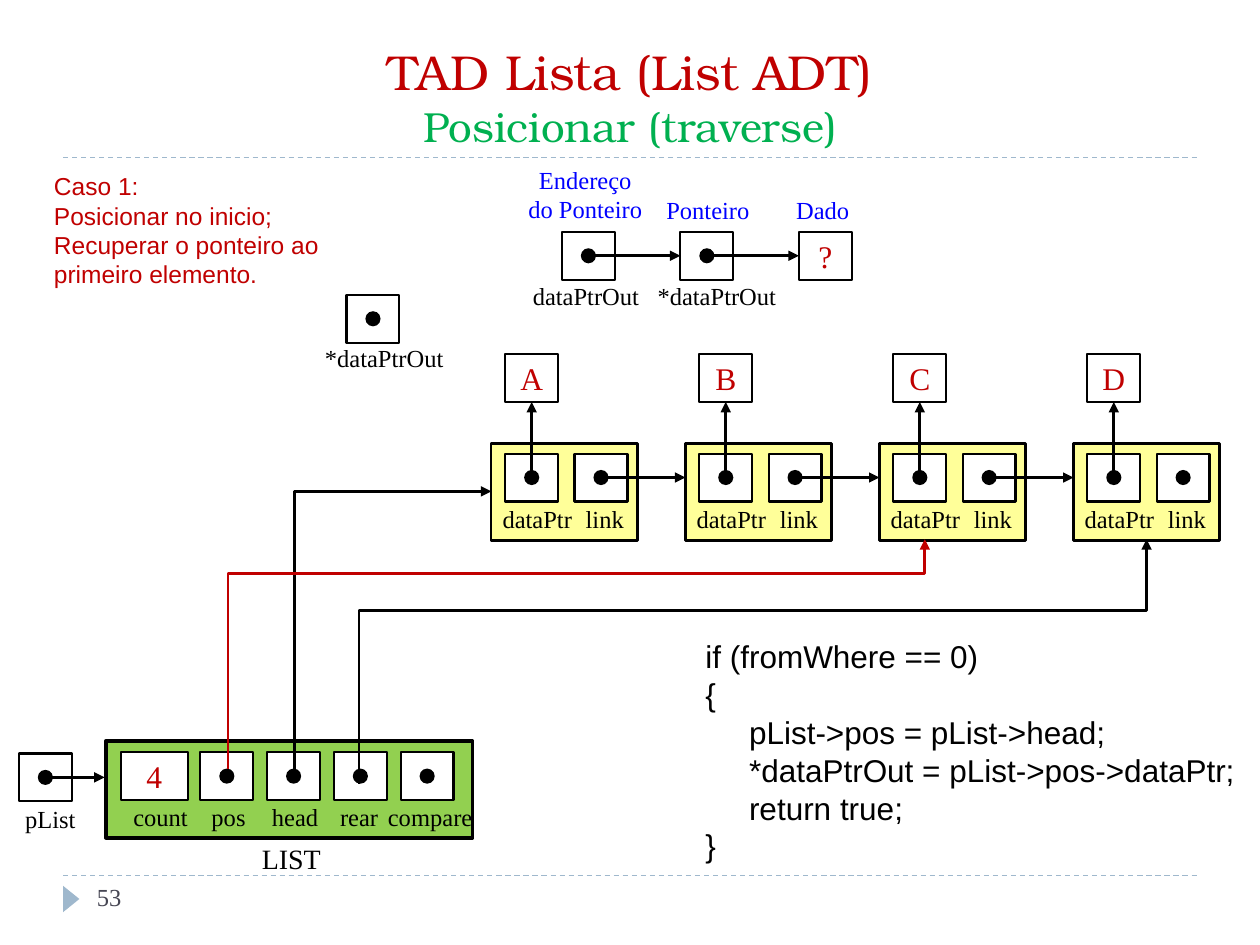
from lxml import etree
from pptx import Presentation
from pptx.dml.color import RGBColor
from pptx.enum.dml import MSO_LINE
from pptx.enum.shapes import MSO_CONNECTOR, MSO_SHAPE
from pptx.enum.text import MSO_ANCHOR, MSO_AUTO_SIZE, PP_ALIGN
from pptx.oxml.ns import qn
from pptx.util import Inches, Pt

RECTANGLE, OVAL, TRIANGLE = MSO_SHAPE.RECTANGLE, MSO_SHAPE.OVAL, MSO_SHAPE.ISOSCELES_TRIANGLE
STRAIGHT, ELBOW = MSO_CONNECTOR.STRAIGHT, MSO_CONNECTOR.ELBOW
LEFT, CENTER = PP_ALIGN.LEFT, PP_ALIGN.CENTER
MIDDLE, BOTTOM = MSO_ANCHOR.MIDDLE, MSO_ANCHOR.BOTTOM
NO_FIT, DASH = MSO_AUTO_SIZE.NONE, MSO_LINE.DASH
SERIF, SANS, TITLE_FONT = "Times New Roman", "Arial", "TeX Gyre Bonum"
BLACK, WHITE, RED, GREEN, BLUE = "000000", "FFFFFF", "C00000", "00B050", "0000FF"
YELLOW, LIME, STEEL, SLATE = "FFFF99", "92D050", "9FB8CD", "464653"
CELL_WIDTH, CELL_HEIGHT, DOT = 0.42, 0.38, 0.12


def color(value):
    """Turn a hex string into a colour."""
    return RGBColor.from_string(value)


def set_font(font, name, size, value):
    """Set the face, size and colour of a font."""
    font.name, font.size = name, Pt(size)
    font.color.rgb = color(value)


def add_text(shapes, text, left, top, width, height=0.34, name=SERIF, size=14,
             value=BLACK, align=LEFT, wrap=False):
    """Add a text box with one paragraph for each line."""
    box = shapes.add_textbox(Inches(left), Inches(top), Inches(width), Inches(height))
    box.text_frame.word_wrap = wrap
    box.text_frame.text = text
    for para in box.text_frame.paragraphs:
        para.alignment = align
        set_font(para.font, name, size, value)
    return box


def add_figure(shapes, kind, left, top, width, height, fill, weight=0):
    """Add a filled shape, outlined in black when a weight is given."""
    figure = shapes.add_shape(kind, Inches(left), Inches(top), Inches(width), Inches(height))
    figure.shadow.inherit = False
    figure.fill.solid()
    figure.fill.fore_color.rgb = color(fill)
    if weight:
        figure.line.color.rgb = color(BLACK)
        figure.line.width = Pt(weight)
    else:
        figure.line.fill.background()
    return figure


def add_cell(shapes, left, top, text="", width=CELL_WIDTH):
    """Add a white memory cell, with a red value if it has one."""
    cell = add_figure(shapes, RECTANGLE, left, top, width, CELL_HEIGHT, WHITE, 1.25)
    if text:
        cell.text_frame.text = text
        cell.text_frame.vertical_anchor = MIDDLE
        para = cell.text_frame.paragraphs[0]
        para.alignment = CENTER
        set_font(para.font, SERIF, 18, RED)
    return cell


def add_dot(shapes, left, top):
    """Add the pointer dot in the centre of the cell at left, top."""
    add_figure(shapes, OVAL, left + (CELL_WIDTH - DOT) / 2, top + (CELL_HEIGHT - DOT) / 2,
               DOT, DOT, BLACK)


def add_line(shapes, kind, start, end, value=BLACK, weight=1.5, arrow=True):
    """Add a connector without shadow, with an arrowhead at its end if asked."""
    line = shapes.add_connector(kind, *(Inches(length) for length in (*start, *end)))
    line.line.color.rgb = color(value)
    line.line.width = Pt(weight)
    if arrow:
        etree.SubElement(line.line._get_or_add_ln(), qn("a:tailEnd"), type="triangle")
    etree.SubElement(line._element.spPr, qn("a:effectLst"))
    return line


def add_riser(shapes, start, end, value=BLACK, bend=None):
    """Add an elbow connector that leaves upward, with a second turn at the bend share."""
    middle_x, middle_y = (start[0] + end[0]) / 2, (start[1] + end[1]) / 2
    half_width, half_height = (start[1] - end[1]) / 2, (end[0] - start[0]) / 2
    line = add_line(shapes, ELBOW, (middle_x - half_width, middle_y - half_height),
                    (middle_x + half_width, middle_y + half_height), value)
    properties = line._element.spPr
    properties.find(qn("a:xfrm")).set("rot", str(270 * 60000))
    geometry = properties.find(qn("a:prstGeom"))
    if bend is None:
        geometry.set("prst", "bentConnector2")
    else:
        guides = geometry.find(qn("a:avLst"))
        etree.SubElement(guides, qn("a:gd"), name="adj1", fmla=f"val {round(bend * 100000)}")


def add_frame(page, left, width):
    """Add the title, the dashed rules and the page number."""
    for top in (6.95, 1.25):
        rule = add_line(page.shapes, STRAIGHT, (left, top), (left + width, top), STEEL, 0.75, False)
        rule.line.dash_style = DASH
    marker = add_figure(page.shapes, TRIANGLE, left - 0.04, 7.07, 0.21, 0.13, STEEL)
    marker.rotation = 90
    title = page.shapes.title
    title.left, title.top, title.width, title.height = map(Inches, (left, 0.25, width, 1))
    title.text_frame.auto_size = NO_FIT
    title.text_frame.vertical_anchor = BOTTOM
    para = title.text_frame.paragraphs[0]
    para.alignment = CENTER
    for text, size, value in (("TAD Lista (List ADT)", 28, RED), ("Posicionar (traverse)", 24, GREEN)):
        if para.runs:
            para.add_line_break()
        span = para.add_run()
        span.text = text
        set_font(span.font, TITLE_FONT, size, value)
    add_text(page.shapes, "53", left + 0.17, 6.95, 2.17, 0.4, value=SLATE, wrap=True)


def add_list_header(page, left, top):
    """Add the pList pointer and the LIST structure with its fields."""
    shapes = page.shapes.add_group_shape().shapes
    cell_top, label_top = top + 0.09, top + 0.44
    add_cell(shapes, left - 0.69, top + 0.1)
    add_text(shapes, "pList", left - 0.74, top + 0.45, 0.61)
    add_line(shapes, STRAIGHT, (left - 0.48, top + 0.29), (left - 0.01, top + 0.29))
    add_dot(shapes, left - 0.69, top + 0.1)
    add_text(shapes, "LIST", left + 1.14, top + 0.75, 0.68, 0.37, size=16)
    add_figure(shapes, RECTANGLE, left, top, 2.91, 0.77, LIME, 2)
    add_cell(shapes, left + 0.12, cell_top, "4", 0.53)
    add_text(shapes, "count", left + 0.12, label_top, 0.64)
    fields = (("pos", 0.74, 0.48), ("head", 1.22, 0.57), ("rear", 1.76, 0.51), ("compare", 2.14, 0.88))
    for index, (name, label_left, label_width) in enumerate(fields):
        cell_left = left + 0.75 + 0.53 * index
        add_cell(shapes, cell_left, cell_top)
        add_dot(shapes, cell_left, cell_top)
        add_text(shapes, name, left + label_left, label_top, label_width)


def add_node(shapes, left, top, value, linked):
    """Add a list node with its data cell above and its link to the right."""
    data_left, link_left, cell_top = left + 0.11, left + 0.66, top + 0.08
    add_figure(shapes, RECTANGLE, left, top, 1.16, 0.77, YELLOW, 1.25)
    add_text(shapes, "dataPtr", left - 0.01, top + 0.43, 0.76)
    add_text(shapes, "link", left + 0.65, top + 0.43, 0.51)
    add_cell(shapes, data_left, cell_top)
    add_cell(shapes, link_left, cell_top)
    data = add_cell(shapes, data_left, top - 0.71, value)
    center_x, center_y = data_left + CELL_WIDTH / 2, cell_top + CELL_HEIGHT / 2
    add_line(shapes, STRAIGHT, (center_x, center_y), (center_x, top - 0.33)).end_connect(data, 2)
    if linked:
        add_line(shapes, STRAIGHT, (link_left + CELL_WIDTH / 2, center_y), (left + 1.54, center_y))
    for dot_left in (data_left, link_left):
        add_dot(shapes, dot_left, cell_top)


def add_chain(page, left, top, values):
    """Add the row of linked nodes."""
    shapes = page.shapes.add_group_shape().shapes
    for index, value in enumerate(values):
        add_node(shapes, left + 1.54 * index, top, value, index < len(values) - 1)


def add_output_pointers(page, left, top):
    """Add the pointer to a pointer to data, with labels."""
    shapes = page.shapes.add_group_shape().shapes
    lefts = [left + 0.94 * index for index in range(3)]
    cells = [add_cell(shapes, cell_left, top, text) for cell_left, text in zip(lefts, ("", "", "?"))]
    for cell_left, target in zip(lefts, cells[1:]):
        center = (cell_left + CELL_WIDTH / 2, top + CELL_HEIGHT / 2)
        add_line(shapes, STRAIGHT, center, (cell_left + 0.94, center[1])).end_connect(target, 1)
        add_dot(shapes, cell_left, top)
    add_text(shapes, "dataPtrOut", left - 0.33, top + 0.34, 1.05)
    add_text(shapes, "*dataPtrOut", left + 0.66, top + 0.34, 1.15)
    add_text(shapes, "Endereço\ndo Ponteiro", left - 0.37, top - 0.58, 1.11, 0.57, value=BLUE, align=CENTER)
    add_text(shapes, "Ponteiro", left + 0.73, top - 0.34, 0.87, value=BLUE)
    add_text(shapes, "Dado", left + 1.76, top - 0.34, 0.63, value=BLUE)


def add_result_pointer(page, left, top):
    """Add the single *dataPtrOut cell."""
    shapes = page.shapes.add_group_shape().shapes
    add_cell(shapes, left, top)
    add_dot(shapes, left, top)
    add_text(shapes, "*dataPtrOut", left - 0.27, top + 0.33, 1.15)


def main():
    """Build the slide and save the deck."""
    deck = Presentation()
    deck.slide_width, deck.slide_height = Inches(10), Inches(7.5)
    page = deck.slides.add_slide(deck.slide_layouts[5])
    add_frame(page, 0.5, 9)
    add_list_header(page, 0.84, 5.88)
    add_chain(page, 3.9, 3.52, "ABCD")
    add_riser(page.shapes, (2.34, 6.1), (3.9, 3.9))
    add_riser(page.shapes, (2.85, 6.22), (9.1, 4.28), bend=0.71)
    add_riser(page.shapes, (1.81, 6.1), (7.34, 4.28), RED, 0.85)
    code = ("if (fromWhere == 0)\n{\n     pList->pos = pList->head;\n"
            "     *dataPtrOut = pList->pos->dataPtr;\n     return true;\n}")
    listing = add_text(page.shapes, code, 5.5, 5.01, 4.5, 1.92, SANS, 18, wrap=True)
    listing.fill.solid()
    listing.fill.fore_color.rgb = color(WHITE)
    case = "Caso 1:\nPosicionar no inicio;\nRecuperar o ponteiro ao primeiro elemento."
    add_text(page.shapes, case, 0.33, 1.31, 2.53, 1.04, SANS, value=RED, wrap=True)
    add_output_pointers(page, 4.46, 1.84)
    add_result_pointer(page, 2.75, 2.34)
    deck.save("out.pptx")


if __name__ == "__main__":
    main()
